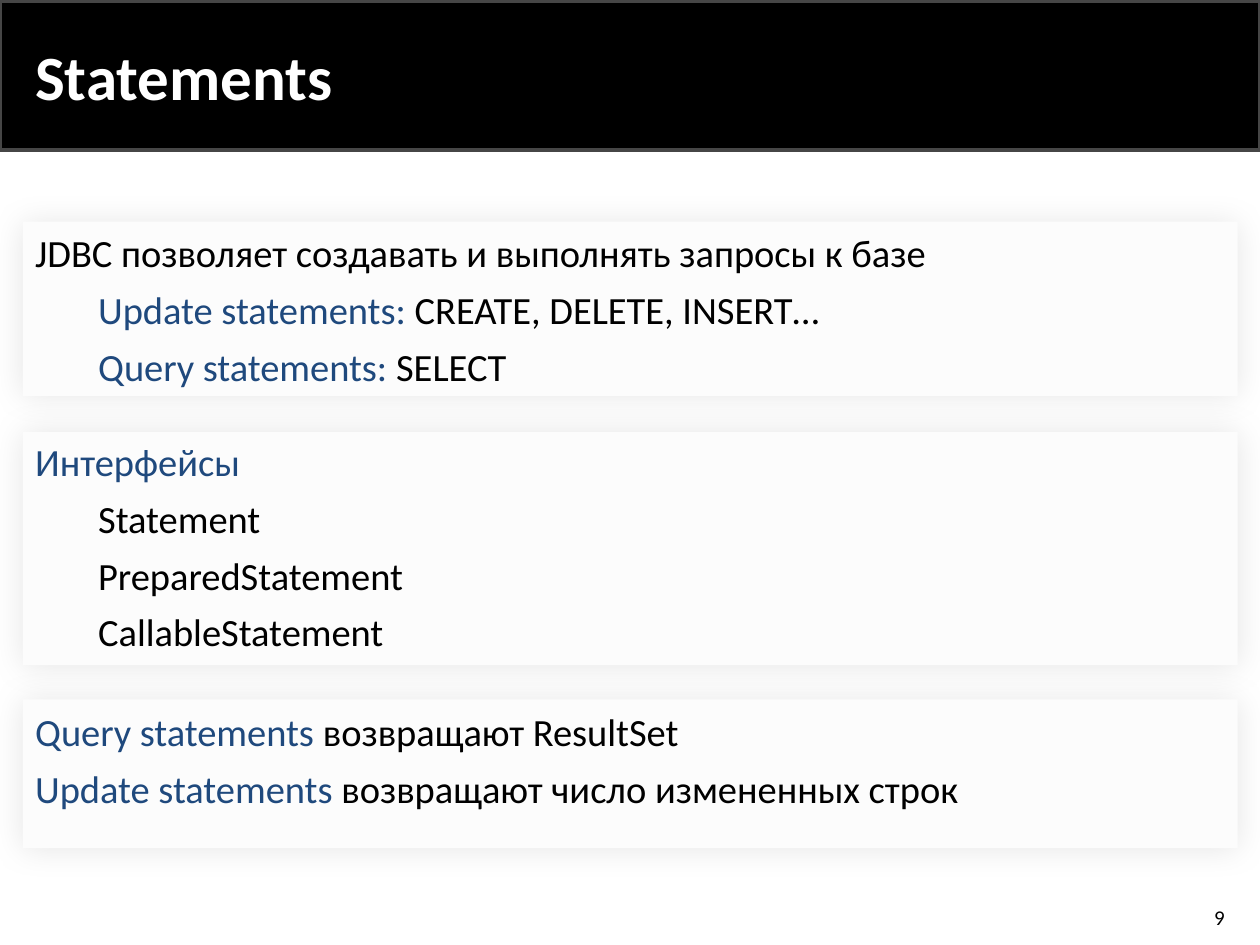
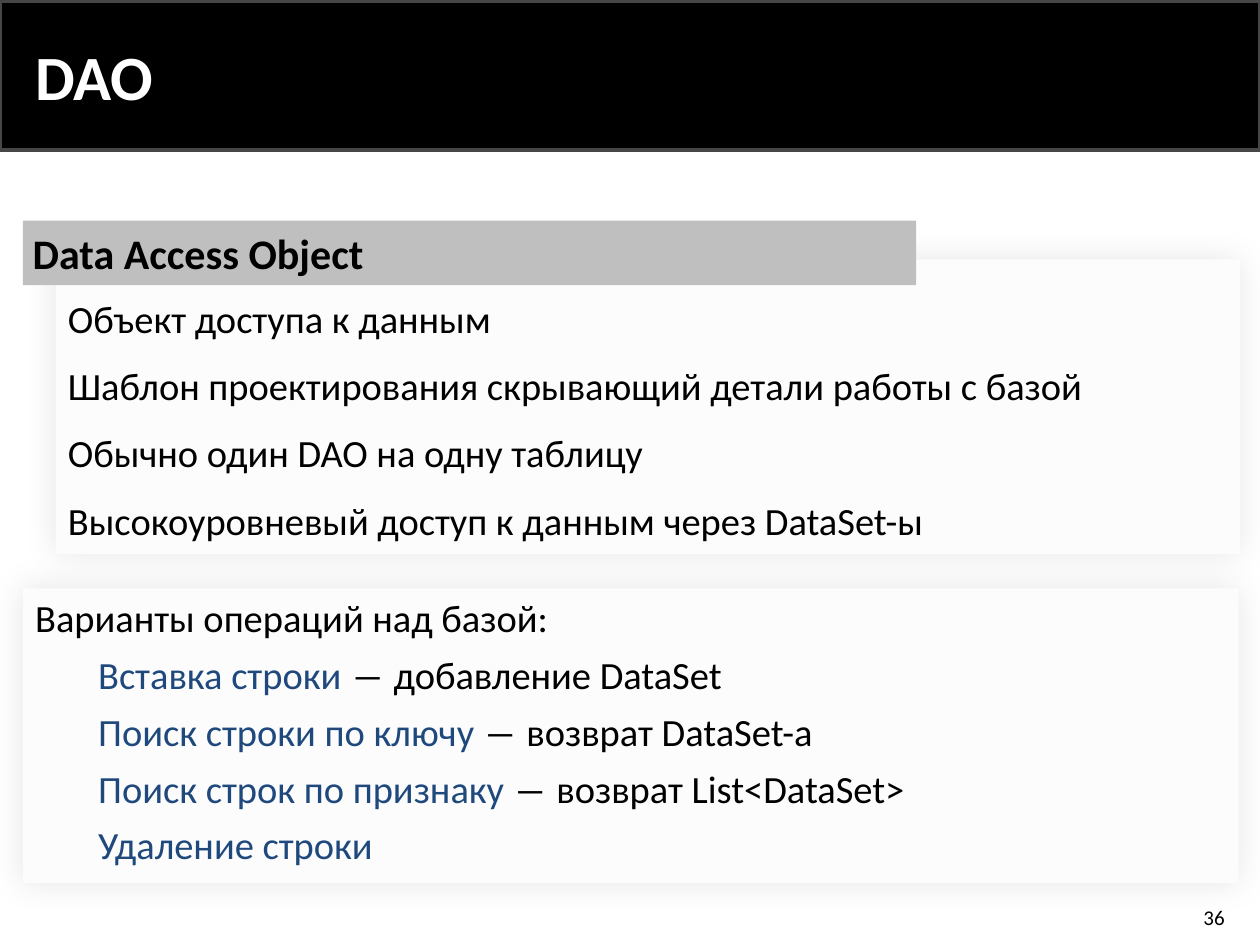
from dataclasses import dataclass

from pptx import Presentation
from pptx.dml.color import RGBColor
from pptx.enum.shapes import MSO_SHAPE as SHAPE
from pptx.enum.text import MSO_ANCHOR as ANCHOR, PP_ALIGN as ALIGN
from pptx.oxml.ns import qn
from pptx.util import Cm, Pt
from lxml.etree import SubElement


@dataclass(frozen=True)
class Theme:
    font: str = "Calibri"
    black: str = "000000"
    white: str = "FFFFFF"
    accent: str = "1F497D"
    band_line: str = "464646"
    panel: str = "FCFCFC"
    heading: str = "BFBFBF"
    title_size: int = 36
    heading_size: int = 24
    body_size: int = 22
    number_size: int = 12
    left: float = 0.46
    indent: float = 1.27


T = Theme()


@dataclass
class Line:
    """A paragraph: an accented lead, then plain text."""
    lead: str = ""
    text: str = ""
    level: int = 0
    before: int = 0


# Text
def add_run(p, text, size=T.body_size, color=T.black, bold=False):
    r = p.add_run()
    r.text = text
    r.font.name = T.font
    r.font.size = Pt(size)
    r.font.bold = bold
    r.font.color.rgb = RGBColor.from_string(color)


def write(s, text, box, align=ALIGN.LEFT, **fmt):
    """Add a one-line text box, centred vertically."""
    tf = s.shapes.add_textbox(*map(Cm, box)).text_frame
    tf.word_wrap = True
    tf.vertical_anchor = ANCHOR.MIDDLE
    p = tf.paragraphs[0]
    p.alignment = align
    add_run(p, text, **fmt)


def add_lines(s, lines, box):
    tf = s.shapes.add_textbox(*map(Cm, box)).text_frame
    tf.word_wrap = True
    for i, line in enumerate(lines):
        p = tf.add_paragraph() if i else tf.paragraphs[0]
        p.level = line.level
        p.space_before = Pt(line.before)
        p.space_after = Pt(6)
        if line.level:
            pPr = p._p.get_or_add_pPr()
            pPr.set("marL", str(Cm(T.indent * line.level)))
            pPr.set("indent", "0")
        if line.lead:
            add_run(p, line.lead, color=T.accent)
        if line.text:
            add_run(p, line.text)


# Shapes
def add_rect(s, box, fill, line=None):
    sp = s.shapes.add_shape(SHAPE.RECTANGLE, *map(Cm, box))
    sp.shadow.inherit = False
    sp.fill.solid()
    sp.fill.fore_color.rgb = RGBColor.from_string(fill)
    if line:
        sp.line.color.rgb = RGBColor.from_string(line)
        sp.line.width = Pt(2)
    else:
        sp.line.fill.background()
    return sp


def add_panel(s, box):
    """Add a pale rectangle with a soft shadow all round."""
    sp = add_rect(s, box, T.panel)
    effects = sp._element.spPr.find(qn("a:effectLst"))
    shadow = SubElement(effects, qn("a:outerShdw"), blurRad=str(Pt(19)),
                        dist="0", dir="0", algn="ctr", rotWithShape="0")
    color = SubElement(shadow, qn("a:srgbClr"), val=T.black)
    SubElement(color, qn("a:alpha"), val="10000")


def add_heading(s, text, box):
    tf = add_rect(s, box, T.heading).text_frame
    tf.margin_left = tf.margin_right = Cm(0.2)
    tf.margin_top = tf.margin_bottom = Cm(0.1)
    tf.vertical_anchor = ANCHOR.MIDDLE
    p = tf.paragraphs[0]
    p.alignment = ALIGN.LEFT
    p.space_after = Pt(6)
    add_run(p, text, size=T.heading_size, bold=True)


# Slides
def new_slide(prs, title, number):
    s = prs.slides.add_slide(prs.slide_layouts[6])
    add_rect(s, (0, 0.03, 25.4, 3), T.black, line=T.band_line)
    write(s, title, (T.left, 0.25, 20.7, 2.54),
          size=T.title_size, color=T.white, bold=True)
    write(s, str(number), (19.15, 18.11, 5.79, 0.76),
          align=ALIGN.RIGHT, size=T.number_size)
    return s


def statements_slide(prs):
    s = new_slide(prs, "Statements", 9)
    # Panel top and height, text top, width and height, lines
    blocks = [
        (4.47, 3.51, 4.5, 18.9, 3.51, [
            Line(text="JDBC позволяет создавать и выполнять запросы к базе"),
            Line("Update statements: ", "CREATE, DELETE, INSERT…", 1),
            Line("Query statements: ", "SELECT", 1)]),
        (8.71, 4.7, 8.71, 8.1, 4.65, [
            Line("Интерфейсы"),
            Line(text="Statement", level=1),
            Line(text="PreparedStatement", level=1),
            Line(text="CallableStatement", level=1)]),
        (14.1, 3, 14.15, 19.2, 2.36, [
            Line("Query statements ", "возвращают ResultSet"),
            Line("Update statements ", "возвращают число измененных строк")]),
    ]
    for top, height, text_top, text_width, text_height, lines in blocks:
        add_panel(s, (T.left, top, 24.49, height))
        add_lines(s, lines, (T.left, text_top, text_width, text_height))


def dao_slide(prs):
    s = new_slide(prs, "DAO", 36)
    # Operations and definition
    add_panel(s, (T.left, 11.86, 24.51, 5.94))
    add_panel(s, (1.12, 5.23, 23.88, 5.94))
    add_heading(s, "Data Access Object", (T.left, 4.45, 18.01, 1.3))
    definition = [
        "Объект доступа к данным",
        "Шаблон проектирования скрывающий детали работы с базой",
        "Обычно один DAO на одну таблицу",
        "Высокоуровневый доступ к данным через DataSet-ы",
    ]
    add_lines(s, [Line(text=text, before=6) for text in definition],
              (1.12, 5.82, 23.01, 5.31))
    add_lines(s, [
        Line(text="Варианты операций над базой:", before=6),
        Line("Вставка строки ", "― добавление DataSet", 1),
        Line("Поиск строки по ключу ", "― возврат DataSet-а", 1),
        Line("Поиск строк по признаку ", "― возврат List<DataSet>", 1),
        Line("Удаление строки", level=1),
    ], (T.left, 11.86, 23.01, 5.82))


def main():
    prs = Presentation()
    prs.slide_width, prs.slide_height = Cm(25.4), Cm(19.05)
    statements_slide(prs)
    dao_slide(prs)
    prs.save("out.pptx")


if __name__ == "__main__":
    main()
